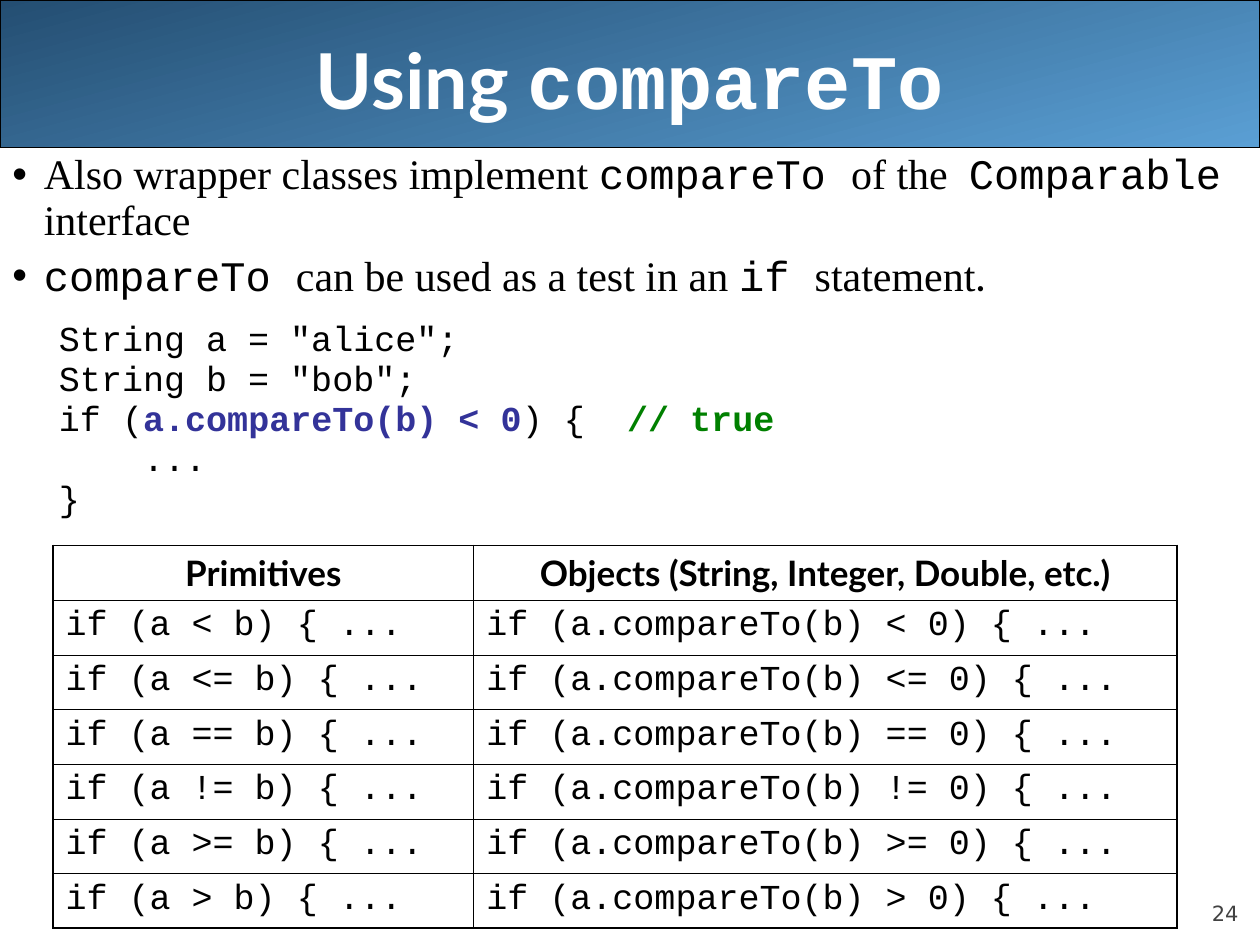
"""Build the slide about using compareTo."""
from lxml.etree import SubElement
from pptx import Presentation
from pptx.dml.color import RGBColor
from pptx.enum.shapes import MSO_SHAPE
from pptx.enum.text import MSO_ANCHOR, PP_ALIGN
from pptx.oxml.ns import qn
from pptx.util import Inches, Pt

BLACK = RGBColor(0, 0, 0)
WHITE = RGBColor(255, 255, 255)
GREY = RGBColor(0x42, 0x42, 0x42)
NAVY = RGBColor(0x24, 0x4E, 0x72)
SKY = RGBColor(0x5A, 0x9F, 0xD4)
INDIGO = RGBColor(0x33, 0x33, 0x99)
GREEN = RGBColor(0, 0x80, 0)

WIDTH, HEIGHT = Inches(10), Inches(7.5)
SANS, SERIF, MONO, NUMBER = "Lato", "Times New Roman", "Courier New", "DejaVu Sans"
OUTER, INNER = 1.08, 0.45
OPERATORS = ["<", "<=", "==", "!=", ">=", ">"]

BULLETS = [
    [("Also wrapper classes implement ", SERIF), ("compareTo ", MONO),
     ("of the  ", SERIF), ("Comparable", MONO), (" interface", SERIF)],
    [("compareTo ", MONO), ("can be used as a test in an ", SERIF),
     ("if ", MONO), ("statement", SERIF), (".", SANS)],
]
CODE = [
    [('String a = "alice";', BLACK)],
    [('String b = "bob";', BLACK)],
    [("if (", BLACK), ("a.compareTo(b) < 0", INDIGO), (") {  ", BLACK),
     ("// true", GREEN)],
    [("    ...", BLACK)],
    [("}", BLACK)],
]


def add_span(para, text, font, size, color=BLACK, bold=False):
    """Append one formatted run to a paragraph."""
    span = para.add_run()
    span.text = text
    span.font.name = font
    span.font.size = Pt(size)
    span.font.bold = bold
    span.font.color.rgb = color


def add_box(page, left, top, width, height, anchor=MSO_ANCHOR.TOP):
    """Add a wrapping text box and return its text frame."""
    box = page.shapes.add_textbox(Inches(left), Inches(top), Inches(width), Inches(height))
    frame = box.text_frame
    frame.word_wrap = True
    frame.vertical_anchor = anchor
    return frame


def set_indent(para, margin, hanging, bullet=None):
    """Give a paragraph a hanging indent and an optional bullet."""
    properties = para._p.get_or_add_pPr()
    properties.set("marL", str(Inches(margin)))
    properties.set("indent", str(-Inches(hanging)))
    if bullet:
        SubElement(properties, qn("a:buFont"), typeface="Arial")
        SubElement(properties, qn("a:buChar"), char=bullet)
    else:
        SubElement(properties, qn("a:buNone"))


def set_border(cell, side, width):
    """Draw one black border of a table cell."""
    line = SubElement(cell._tc.get_or_add_tcPr(), qn(f"a:{side}"), w=str(Pt(width)))
    fill = SubElement(line, qn("a:solidFill"))
    SubElement(fill, qn("a:srgbClr"), val=str(BLACK))


def add_banner(page):
    """Add the gradient banner with the title."""
    banner = page.shapes.add_shape(MSO_SHAPE.ROUNDED_RECTANGLE, 0, 0, WIDTH, Inches(1.17))
    banner.adjustments[0] = 0
    banner.shadow.inherit = False
    banner.fill.gradient()
    banner.fill.gradient_angle = 285
    for stop, color, position in zip(banner.fill.gradient_stops, (NAVY, SKY), (0, 1)):
        stop.color.rgb = color
        stop.position = position
    banner.line.color.rgb = BLACK
    banner.line.width = Pt(0.74)
    title = add_box(page, 0.5, 0, 9, 1.25, MSO_ANCHOR.MIDDLE).paragraphs[0]
    title.alignment = PP_ALIGN.CENTER
    for text, font in (("Using ", SANS), ("compareTo", MONO)):
        add_span(title, text, font, 44, WHITE, True)


def add_body(page):
    """Add the bullets and the code sample."""
    frame = add_box(page, 0, 1.17, 10, 3.08)
    for index, spans in enumerate(BULLETS):
        para = frame.add_paragraph() if index else frame.paragraphs[0]
        para.line_spacing = 0.9
        para.space_before = Pt(6)
        set_indent(para, 0.25, 0.25, "•")
        for text, font in spans:
            add_span(para, text, font, 24)
    for index, spans in enumerate(CODE):
        para = frame.add_paragraph()
        para.line_spacing = 0.7
        para.space_before = Pt(6 if index else 16)
        set_indent(para, 0.68, 0.31)
        for text, color in spans:
            add_span(para, text, MONO, 20, color, color != BLACK)


def add_comparison(page):
    """Add the table that pairs primitive and object comparisons."""
    rows = [("Primitives", "Objects (String, Integer, Double, etc.)")]
    rows += [(f"if (a {sign} b) {{ ...", f"if (a.compareTo(b) {sign} 0) {{ ...")
             for sign in OPERATORS]
    last = len(rows) - 1
    table = page.shapes.add_table(len(rows), 2, Inches(0.42), Inches(4.33),
                                  Inches(8.92), Inches(3.03)).table
    table.first_row = table.horz_banding = False
    for column, width in zip(table.columns, (3.34, 5.58)):
        column.width = Inches(width)
    for row, texts in enumerate(rows):
        for column, text in enumerate(texts):
            cell = table.cell(row, column)
            para = cell.text_frame.paragraphs[0]
            para.space_before = Pt(5)
            para.alignment = PP_ALIGN.LEFT if row else PP_ALIGN.CENTER
            add_span(para, text, MONO if row else SANS, 20, bold=row == 0)
            edges = {"lnL": column == 0, "lnR": column == 1,
                     "lnT": row == 0, "lnB": row == last}
            for side, outside in edges.items():
                set_border(cell, side, OUTER if outside else INNER)
            cell.fill.background()


def add_page_number(page):
    """Add the page number in the lower right corner."""
    frame = add_box(page, 9, 6.95, 0.83, 0.4, MSO_ANCHOR.BOTTOM)
    frame.margin_left = frame.margin_right = frame.margin_top = frame.margin_bottom = 0
    para = frame.paragraphs[0]
    para.alignment = PP_ALIGN.RIGHT
    add_span(para, "24", NUMBER, 12, GREY)


def main():
    """Assemble and save the deck."""
    deck = Presentation()
    deck.slide_width, deck.slide_height = WIDTH, HEIGHT
    page = deck.slides.add_slide(deck.slide_layouts[6])
    add_banner(page)
    add_page_number(page)
    add_body(page)
    add_comparison(page)
    deck.save("out.pptx")


main()
